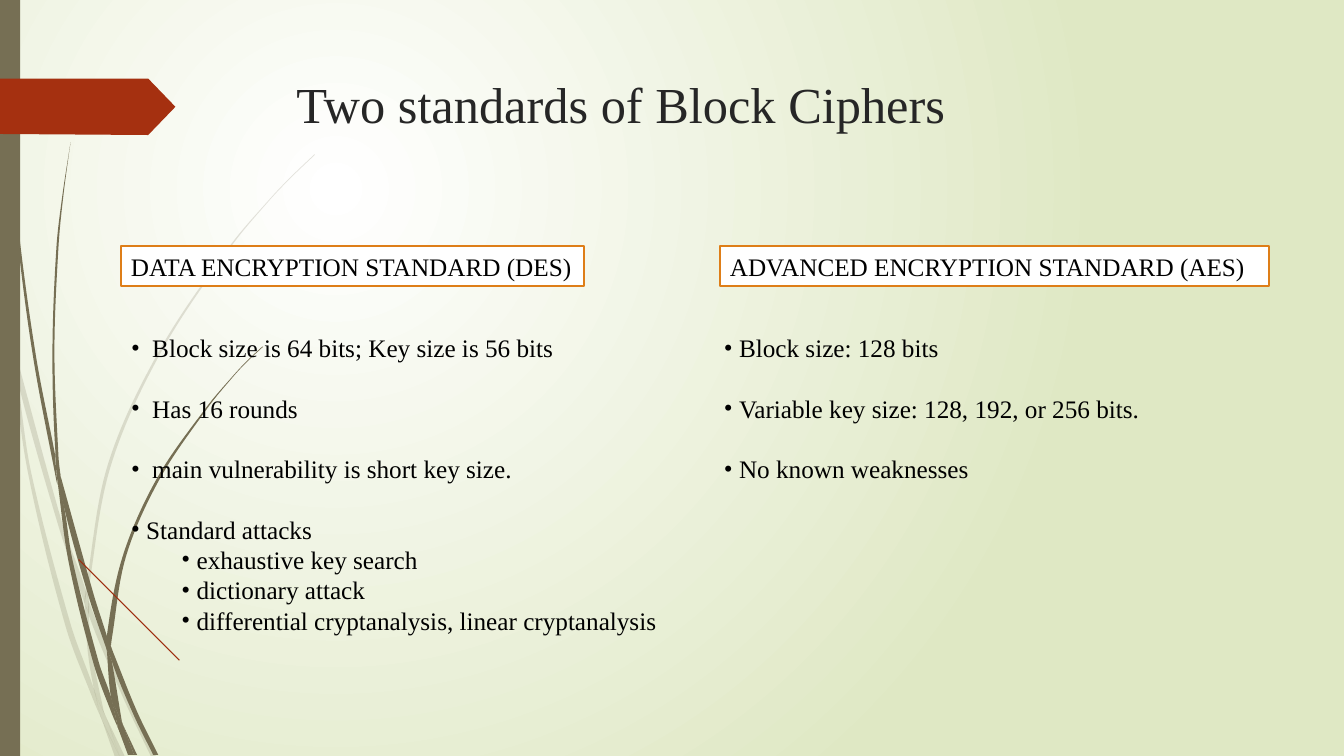
from dataclasses import dataclass

from pptx import Presentation
from pptx.dml.color import RGBColor
from pptx.enum.shapes import MSO_CONNECTOR, MSO_SHAPE
from pptx.enum.text import MSO_ANCHOR, MSO_AUTO_SIZE, PP_ALIGN
from pptx.oxml import parse_xml
from pptx.oxml.ns import nsdecls, qn
from pptx.oxml.xmlchemy import OxmlElement
from pptx.util import Inches, Pt


@dataclass(frozen=True)
class Theme:
    font: str = "Times New Roman"
    title_size: float = 36
    text_size: float = 18
    line_pitch: float = 21.6
    title: str = "262626"
    text: str = "000000"
    paper: str = "FFFFFF"
    glow_edge: str = "DFE8C4"
    stem: str = "766F54"
    tag: str = "A53010"
    stroke: str = "9E2E0F"
    frame: str = "DE7E18"


# Corner and bend points of each stem piece, as x, y pairs in inches.
PALE_STEMS = [
    (.11, 3.5, .09, 3.22, 0, 2.82, 0, 2.99, .1, 3.44),
    (.58, 5.22, .84, 5.99, .85, 5.86, .62, 5.2, .14, 3.45, .17, 3.76),
    (.92, 6.07, .88, 5.96, .88, 6.1, 1.23, 6.94, 1.5, 7.51, 1.55, 7.51, 1.27, 6.92),
    (1.19, 7.51, 1.24, 7.51, 1.05, 7.11),
    (.93, 6.83, .7, 6.19, .31, 4.69, .17, 3.76, .11, 3.5, .28, 4.7, .65, 6.21, .92, 6.93, 1.01, 7.14, .99, 7.07),
    (.84, 5.99, .87, 6.46, .93, 6.83, .96, 6.92, 1.05, 7.11, 1.03, 7.06, .91, 6.46, .88, 6.1, .88, 6.08),
    (.88, 5.84, 1.1, 4.62, 1.6, 3.49, 2.29, 2.45, 2.68, 1.98, 2.9, 1.75, 3.12, 1.54, 3.12, 1.53,
     2.89, 1.75, 2.68, 1.97, 2.28, 2.44, 1.58, 3.48, 1.07, 4.61, .85, 5.84, .85, 5.86, .88, 5.96),
    (1.01, 7.14, 1.14, 7.51, 1.19, 7.51),
    (.88, 6.08, .88, 6.1, .88, 5.96, .85, 5.86, .84, 5.99),
    (.96, 6.92, .93, 6.83, .99, 7.07, 1.01, 7.14, 1.19, 7.51, 1.05, 7.11),
]
DARK_STEMS = [
    (.07, 1.1, .17, 2.33, .33, 3.55, .56, 4.77, .57, 4.81, .55, 4.57, .55, 4.53, .36, 3.55,
     .19, 2.32, .08, 1.09, .05, .48, .04, 0, .03, 0, .04, .48),
    (.88, 5.92, 1.06, 6.45, 1.06, 6.33, 1.06, 6.31, .93, 5.9, .6, 4.72, .64, 5.05),
    (1.13, 6.49, 1.1, 6.41, 1.11, 6.56, 1.32, 7.08, 1.52, 7.49, 1.57, 7.49, 1.36, 7.06),
    (1.1, 6.91, .98, 6.57, .72, 5.56, .64, 5.05, .57, 4.77, .68, 5.57, .93, 6.59, 1.11, 7.08, 1.17, 7.22, 1.16, 7.17),
    (.6, 4.72, .58, 4.53, .54, 3.49, .58, 2.45, .63, 1.93, .7, 1.41, .62, 1.93, .56, 2.45, .52, 3.49, .55, 4.49),
    (1.33, 7.49, 1.36, 7.49, 1.22, 7.19),
    (.57, 4.77, .64, 5.05, .6, 4.72, .55, 4.49, .55, 4.53),
    (1.11, 6.33, 1.25, 5.52, 1.58, 4.76, 2.05, 4.06, 2.31, 3.74, 2.45, 3.59, 2.61, 3.44, 2.6, 3.44,
     2.45, 3.58, 2.31, 3.73, 2.04, 4.05, 1.56, 4.74, 1.22, 5.51, 1.06, 6.31, 1.1, 6.41),
    (1.17, 7.22, 1.27, 7.49, 1.31, 7.49),
    (1.06, 6.45, 1.1, 6.91, 1.16, 7.06, 1.22, 7.19, 1.21, 7.16, 1.11, 6.56, 1.09, 6.51),
    (1.06, 6.45, 1.09, 6.51, 1.11, 6.56, 1.1, 6.41, 1.06, 6.31, 1.06, 6.33),
    (1.16, 7.06, 1.1, 6.91, 1.16, 7.17, 1.17, 7.22, 1.3, 7.49, 1.33, 7.49, 1.22, 7.19),
]
TAG_OUTLINE = (0, .78, 1.47, .78, 1.74, 1.06, 1.47, 1.34, 0, 1.33)

# Text, outline level, hanging indent in inches.
DES_POINTS = [("Block size is 64 bits; Key size is 56 bits", 0, .21), ("Has 16 rounds", 0, .21),
              ("main vulnerability is short key size.", 0, .21), ("Standard attacks", 0, .15),
              ("exhaustive key search", 1, .15), ("dictionary attack", 1, .15),
              ("differential cryptanalysis, linear cryptanalysis", 1, .15)]
AES_POINTS = [("Block size: 128 bits", 0, .15), ("Variable key size: 128, 192, or 256 bits.", 0, .15),
              ("No known weaknesses", 0, .15)]


def pull(before, here, after):
    """Bezier handle leaving `here`: tangent on a bend, straight at a corner."""
    arrive, leave = here - before, after - here
    bend = (arrive.conjugate() * leave).real > .8 * abs(arrive) * abs(leave)
    heading = after - before if bend else leave
    return heading / abs(heading) * abs(leave) / 3


def smooth(flat):
    """Start point, then two handles and an end for every side."""
    knots = [complex(x, y) for x, y in zip(flat[::2], flat[1::2])]
    route = [knots[0]]
    for i, here in enumerate(knots):
        after, beyond = knots[(i + 1) % len(knots)], knots[(i + 2) % len(knots)]
        route += [here + pull(knots[i - 1], here, after), after + pull(beyond, after, here), after]
    return [number for point in route for number in (point.real, point.imag)]


class SlideBuilder:
    def __init__(self, slide, theme):
        self.slide, self.shapes, self.theme = slide, slide.shapes, theme

    def background(self):
        fill = self.slide.background.fill
        fill.gradient()
        for stop, color in zip(fill.gradient_stops, (self.theme.paper, self.theme.glow_edge)):
            stop.color.rgb = RGBColor.from_string(color)
        gradient = self.slide._element.find(".//" + qn("a:gradFill"))
        gradient.replace(gradient.find(qn("a:lin")), parse_xml(
            f'<a:path {nsdecls("a")} path="circle"><a:fillToRect l="50000" t="50000" r="100000" b="100000"/></a:path>'))

    def paint(self, shape, fill, line=None):
        shape.shadow.inherit = False
        shape.fill.solid()
        shape.fill.fore_color.rgb = RGBColor.from_string(fill)
        shape.line.fill.background()
        if line:
            shape.line.color.rgb = RGBColor.from_string(line)
            shape.line.width = Pt(1.25)

    def outline(self, shapes, flat, fill):
        points = [(Inches(x), Inches(y)) for x, y in zip(flat[::2], flat[1::2])]
        pen = shapes.build_freeform(*points[0], scale=1.0)
        pen.add_line_segments(points[1:], close=True)
        shape = pen.convert_to_shape()
        self.paint(shape, fill)
        return shape

    def stems(self, pieces, opacity):
        group = self.shapes.add_group_shape()
        for flat in pieces:
            stem = self.outline(group.shapes, smooth(flat), self.theme.stem)
            steps = list(stem._element.iter(qn("a:lnTo")))
            for first in range(0, len(steps), 3):
                curve = OxmlElement("a:cubicBezTo")
                steps[first].addprevious(curve)
                for step in steps[first:first + 3]:
                    curve.append(step[0])
                    step.getparent().remove(step)
            alpha = OxmlElement("a:alpha")
            alpha.set("val", str(opacity * 1000))
            stem._element.spPr.find(".//" + qn("a:srgbClr")).append(alpha)

    def rectangle(self, box, fill, line=None):
        shape = self.shapes.add_shape(MSO_SHAPE.RECTANGLE, *map(Inches, box))
        self.paint(shape, fill, line)
        return shape

    def stroke(self, *ends):
        line = self.shapes.add_connector(MSO_CONNECTOR.STRAIGHT, *map(Inches, ends))
        line.line.color.rgb = RGBColor.from_string(self.theme.stroke)
        line.line.width = Pt(.75)
        line._element.spPr.append(OxmlElement("a:effectLst"))

    def letter(self, paragraph, text, size, color):
        paragraph.alignment = PP_ALIGN.LEFT
        run = paragraph.add_run()
        run.text = text
        run.font.name, run.font.size = self.theme.font, Pt(size)
        run.font.color.rgb = RGBColor.from_string(color)

    def frame(self, shape, wrap):
        text_frame = shape.text_frame
        text_frame.word_wrap, text_frame.auto_size = wrap, MSO_AUTO_SIZE.NONE
        text_frame.vertical_anchor = MSO_ANCHOR.TOP
        return text_frame

    def placeholder(self, index, box):
        """Places a placeholder in front of what is drawn so far."""
        holder = self.slide.placeholders[index]
        holder.left, holder.top, holder.width, holder.height = map(Inches, box)
        self.shapes._spTree.append(holder._element)
        return self.frame(holder, True)

    def title(self, text, *box):
        self.letter(self.placeholder(0, box).paragraphs[0], text, self.theme.title_size, self.theme.title)

    def heading(self, text, *box):
        shape = self.rectangle(box, self.theme.paper, self.theme.frame)
        self.letter(self.frame(shape, False).paragraphs[0], text, self.theme.text_size, self.theme.text)

    def bullets(self, index, points, *box):
        text_frame = self.placeholder(index, box)
        for number, (text, level, hang) in enumerate(points):
            paragraph = text_frame.add_paragraph() if number else text_frame.paragraphs[0]
            paragraph.level, paragraph.line_spacing = level, Pt(self.theme.line_pitch)
            paragraph.space_before = Pt(self.theme.line_pitch if number and level == 0 else 0)
            properties = paragraph._p.get_or_add_pPr()
            properties.set("marL", str(Inches(level * .5 + hang)))
            properties.set("indent", str(-Inches(hang)))
            for mark in (f'buFont {nsdecls("a")} typeface="{self.theme.font}"', f'buChar {nsdecls("a")} char="•"'):
                properties.append(parse_xml(f"<a:{mark}/>"))
            self.letter(paragraph, text, self.theme.text_size, self.theme.text)


presentation = Presentation()
presentation.slide_width, presentation.slide_height = Inches(13.33), Inches(7.5)
page = SlideBuilder(presentation.slides.add_slide(presentation.slide_layouts[3]), Theme())
page.background()
page.stems(PALE_STEMS, 20)
page.stems(DARK_STEMS, 100)
page.rectangle((0, 0, .2, 7.5), page.theme.stem)
page.outline(page.shapes, TAG_OUTLINE, page.theme.tag)
page.title("Two standards of Block Ciphers", 2.84, .68, 9.75, 1.4)
page.stroke(.78, 5.55, 1.78, 6.55)
page.heading("DATA ENCRYPTION STANDARD (DES)", 1.2, 2.44, 4.59, .4)
page.bullets(1, DES_POINTS, 1.2, 3.25, 5.47, 3.13)
page.heading("ADVANCED ENCRYPTION STANDARD (AES)", 7.14, 2.44, 5.45, .4)
page.bullets(2, AES_POINTS, 7.08, 3.25, 6.25, 1.62)
presentation.save("out.pptx")
